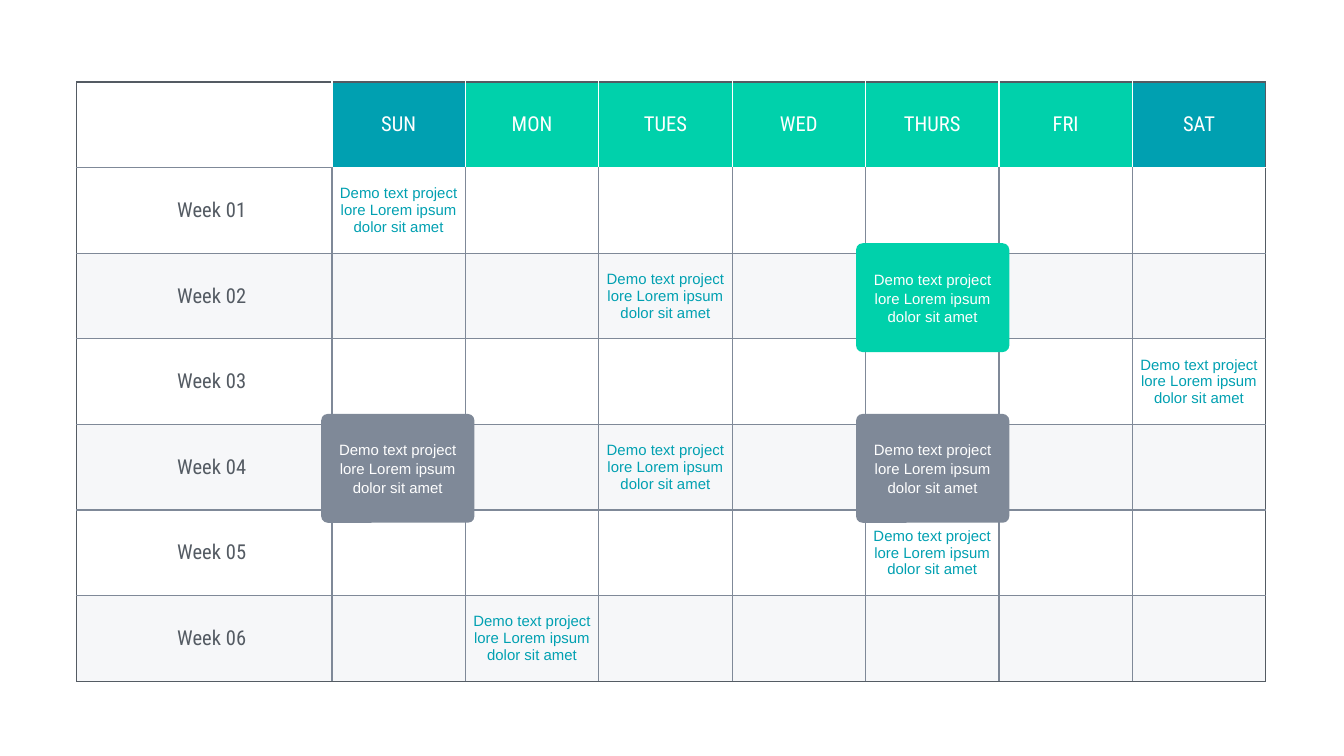
from lxml import etree
from pptx import Presentation, util as u
from pptx.dml.color import RGBColor
from pptx.enum import shapes, text
from pptx.oxml import ns

TEAL = RGBColor(0x00, 0xA0, 0xB1)
GREEN = RGBColor(0x00, 0xD1, 0xAB)
GRAY = RGBColor(0x7F, 0x89, 0x98)
DARK = RGBColor(0x54, 0x5B, 0x63)
PALE = RGBColor(0xEE, 0xF0, 0xF4)
WHITE = RGBColor(0xFF, 0xFF, 0xFF)

HEADING_FONT = "Roboto Condensed"
BODY_FONT = "Arial"
DEMO = "Demo text project lore Lorem ipsum dolor sit amet"
DAYS = ["SUN", "MON", "TUES", "WED", "THURS", "FRI", "SAT"]
WEEKS = 6
ROWS, COLUMNS = WEEKS + 1, len(DAYS) + 1
ENTRIES = [(1, 1), (2, 3), (3, 7), (4, 3), (5, 5), (6, 2)]
LEFT, TOP = u.Inches(0.57), u.Inches(0.61)
LABEL_WIDTH = u.Inches(1.9)
DAY_WIDTH = int(u.Inches(6.95) / len(DAYS))
ROW_HEIGHT = int(u.Inches(4.46) / ROWS)


def write(text_frame, wording, size, font, color):
    text_frame.text = wording
    paragraph = text_frame.paragraphs[0]
    paragraph.alignment = text.PP_ALIGN.CENTER
    run = paragraph.runs[0]
    run.font.size = u.Pt(size)
    run.font.name = font
    run.font.color.rgb = color


def add_border(cell, side, color):
    properties = cell._tc.get_or_add_tcPr()
    line = etree.SubElement(properties, ns.qn(f"a:ln{side}"), w=str(u.Pt(0.75)))
    fill = etree.SubElement(line, ns.qn("a:solidFill"))
    etree.SubElement(fill, ns.qn("a:srgbClr"), val=str(color))


presentation = Presentation()
presentation.slide_width = u.Inches(10)
presentation.slide_height = u.Inches(10) * 9 // 16
slide = presentation.slides.add_slide(presentation.slide_layouts[6])

table = slide.shapes.add_table(
    ROWS, COLUMNS, LEFT, TOP,
    LABEL_WIDTH + DAY_WIDTH * len(DAYS), ROW_HEIGHT * ROWS,
).table
table.first_row = False
table.horz_banding = False
for index, column in enumerate(table.columns):
    column.width = DAY_WIDTH if index else LABEL_WIDTH
for table_row in table.rows:
    table_row.height = ROW_HEIGHT

for row in range(ROWS):
    for column in range(COLUMNS):
        cell = table.cell(row, column)
        for side, edge in (("L", column), ("R", column + 1)):
            if edge in (0, COLUMNS):
                color = DARK
            else:
                color = GRAY if row else WHITE
            add_border(cell, side, color)
        for side, edge in (("T", row), ("B", row + 1)):
            if edge in (0, ROWS):
                color = DARK
            else:
                color = WHITE if edge == 1 and column else GRAY
            add_border(cell, side, color)

        if row == 0 and column:
            cell.fill.solid()
            weekend = column in (1, len(DAYS))
            cell.fill.fore_color.rgb = TEAL if weekend else GREEN
        elif row and row % 2 == 0:
            cell.fill.solid()
            cell.fill.fore_color.rgb = PALE
            pale_color = cell._tc.tcPr.find(f"{ns.qn('a:solidFill')}/{ns.qn('a:srgbClr')}")
            etree.SubElement(pale_color, ns.qn("a:alpha"), val="50000")
        else:
            cell.fill.background()

        cell.vertical_anchor = text.MSO_ANCHOR.MIDDLE
        cell.margin_left = u.Inches(0.15 if row and not column else 0.04)
        cell.margin_right = u.Inches(0.04)
        cell.margin_top = cell.margin_bottom = u.Inches(0.02)
        if row == 0 and column:
            write(cell.text_frame, DAYS[column - 1], 11, HEADING_FONT, WHITE)
        elif row and column == 0:
            write(cell.text_frame, f"Week {row:02}", 11, HEADING_FONT, DARK)
        elif (row, column) in ENTRIES:
            write(cell.text_frame, DEMO, 8, BODY_FONT, TEAL)

for left, top, color in ((6.37, 1.81, GREEN), (2.39, 3.08, GRAY), (6.37, 3.08, GRAY)):
    card = slide.shapes.add_shape(
        shapes.MSO_SHAPE.ROUNDED_RECTANGLE,
        u.Inches(left), u.Inches(top), u.Inches(1.14), u.Inches(0.81),
    )
    card.adjustments[0] = 0.06
    card.shadow.inherit = False
    card.fill.solid()
    card.fill.fore_color.rgb = color
    card.line.fill.background()
    frame = card.text_frame
    frame.word_wrap = True
    frame.vertical_anchor = text.MSO_ANCHOR.MIDDLE
    frame.margin_left = frame.margin_right = u.Inches(0.02)
    frame.margin_top = frame.margin_bottom = u.Inches(0.02)
    write(frame, DEMO, 8, BODY_FONT, WHITE)
    frame.paragraphs[0].line_spacing = 1.05

presentation.save("out.pptx")
